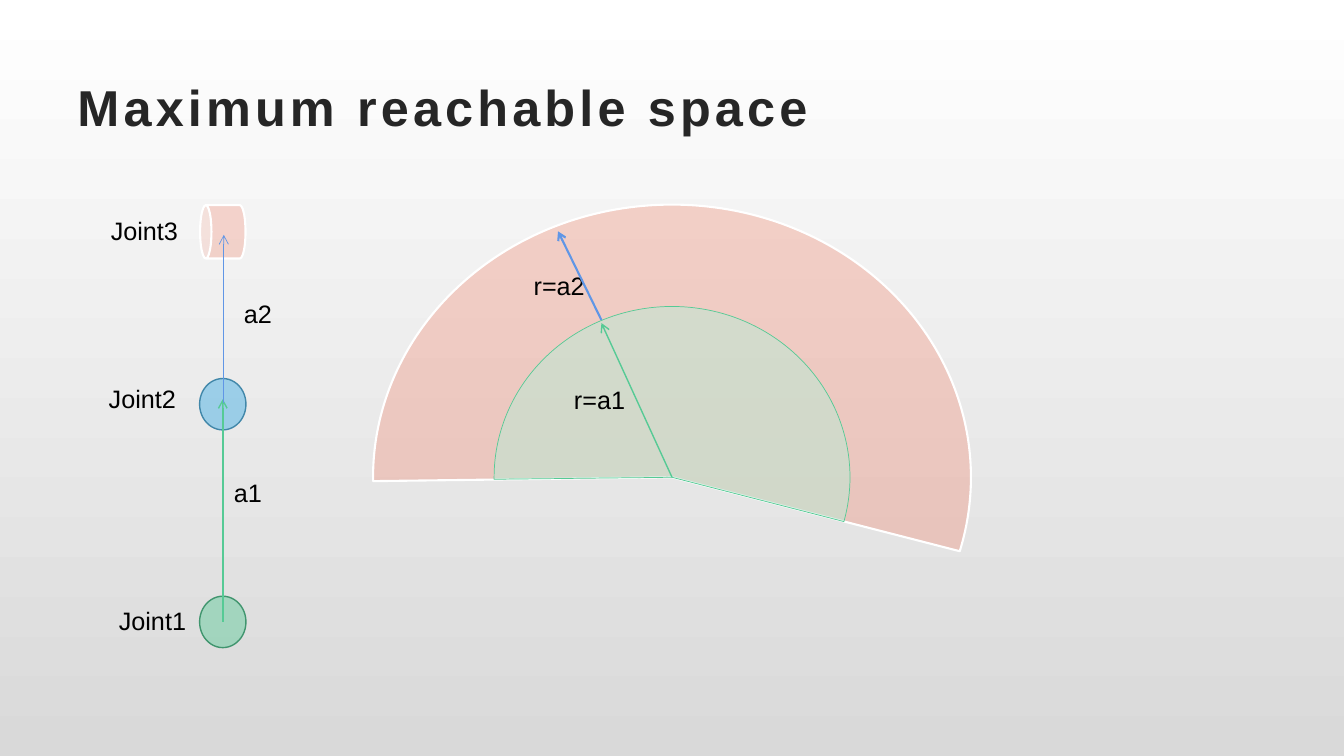
from lxml import etree
from pptx import Presentation
from pptx.dml.color import RGBColor
from pptx.enum import shapes, text
from pptx.oxml.ns import qn
from pptx.util import Inches, Pt

WHITE = RGBColor(0xFF, 0xFF, 0xFF)
GREY = RGBColor(0xD9, 0xD9, 0xD9)
BLACK = RGBColor(0, 0, 0)
TITLE = RGBColor(0x26, 0x26, 0x26)
CORAL = RGBColor(0xF1, 0x88, 0x70)
MINT = RGBColor(0xBB, 0xEA, 0xD5)
GREEN = RGBColor(0x56, 0xCA, 0x95)
DARK_GREEN = RGBColor(0x40, 0x95, 0x6E)
SKY = RGBColor(0x58, 0xB6, 0xE5)
DARK_SKY = RGBColor(0x41, 0x87, 0xA9)
BLUE = RGBColor(0x60, 0x96, 0xE6)
SHAPE = shapes.MSO_SHAPE


def add_shape(s, kind, cx, cy, w, h, fill, alpha, line, weight, rotation=0):
    sp = s.shapes.add_shape(kind, Inches(cx - w / 2), Inches(cy - h / 2),
                            Inches(w), Inches(h))
    sp.rotation = rotation
    sp.shadow.inherit = False
    sp.fill.solid()
    sp.fill.fore_color.rgb = fill
    color = sp.fill._xPr.find(qn("a:solidFill"))[0]
    etree.SubElement(color, qn("a:alpha"), val=str(alpha * 1000))
    sp.line.color.rgb = line
    sp.line.width = Pt(weight)
    return sp


def add_arrow(s, x1, y1, x2, y2, color, weight):
    cn = s.shapes.add_connector(shapes.MSO_CONNECTOR.STRAIGHT, Inches(x1),
                                Inches(y1), Inches(x2), Inches(y2))
    cn.line.color.rgb = color
    cn.line.width = Pt(weight)
    etree.SubElement(cn.line._get_or_add_ln(), qn("a:tailEnd"), type="arrow")
    etree.SubElement(cn._element.spPr, qn("a:effectLst"))


def add_text(s, x, y, w, h, words, size=18, color=BLACK, bold=False):
    tb = s.shapes.add_textbox(Inches(x), Inches(y), Inches(w), Inches(h))
    tf = tb.text_frame
    tf.word_wrap = True
    tf.vertical_anchor = text.MSO_ANCHOR.TOP
    p = tf.paragraphs[0]
    p.text = words
    p.font.name = "Arial"
    p.font.size = Pt(size)
    p.font.bold = bold
    p.font.color.rgb = color
    return tf


def add_background(s):
    fill = s.background.fill
    fill.gradient()
    fill.gradient_angle = 270
    for stop, color in zip(fill.gradient_stops, (WHITE, GREY)):
        stop.color.rgb = color


def add_title(s, x, y, w, h):
    tf = add_text(s, x, y, w, h, "Maximum reachable space", 36, TITLE, True)
    tf.vertical_anchor = text.MSO_ANCHOR.MIDDLE
    tf.paragraphs[0].runs[0].font._element.set("spc", "300")


def add_reach(s, x, y, w, h):
    cx, cy = x + w / 2, y + h / 2
    sectors = [
        (h, w, CORAL, 34, WHITE, 1.5, (53.552, 170.655)),
        (3.39, 3.53, MINT, 52, GREEN, 0.5, (53.617, 170.669)),
    ]
    for width, height, fill, alpha, line, weight, angles in sectors:
        sp = add_shape(s, SHAPE.PIE, cx, cy, width, height, fill, alpha,
                       line, weight, 90)
        sp.adjustments[0], sp.adjustments[1] = angles
    add_arrow(s, cx, cy, cx - 0.7, cy - 1.53, GREEN, 1)
    add_text(s, cx - 1.07, cy - 0.97, 1.46, 0.4, "r=a1")
    add_text(s, cx - 1.47, cy - 2.1, 1.46, 0.4, "r=a2")
    add_arrow(s, cx - 0.7, cy - 1.56, cx - 1.13, cy - 2.44, BLUE, 1.5)


def add_arm(s, x, y, w, h):
    axis = x + 1.23
    base, elbow, tip = y + h - 0.25, y + 1.94, y + 0.23
    add_shape(s, SHAPE.OVAL, axis, base, 0.46, 0.51, GREEN, 44, DARK_GREEN, 1)
    add_shape(s, SHAPE.OVAL, axis, elbow, 0.46, 0.51, SKY, 54, DARK_SKY, 1)
    add_shape(s, SHAPE.CAN, axis, tip, 0.53, 0.45, CORAL, 31, WHITE, 1.5, 270)
    add_arrow(s, axis, base, axis, elbow - 0.05, GREEN, 1)
    add_arrow(s, axis + 0.01, elbow - 0.01, axis + 0.01, tip + 0.03, BLUE, 0.5)
    labels = [
        ("a1", 1.24, 2.62, 0.59), ("a2", 1.34, 0.84, 0.59),
        ("Joint1", 0.1, 3.89, 0.91), ("Joint2", 0, 1.68, 0.91),
        ("Joint3", 0.02, 0.02, 0.91),
    ]
    for words, dx, dy, width in labels:
        add_text(s, x + dx, y + dy, width, 0.4, words)


def main():
    prs = Presentation()
    prs.slide_width, prs.slide_height = Inches(13.33), Inches(7.5)
    s = prs.slides.add_slide(prs.slide_layouts[6])
    add_background(s)
    add_title(s, 0.67, 0.67, 12, 0.77)
    add_reach(s, 3.7, 2.03, 5.93, 5.41)
    add_arm(s, 0.98, 2.07, 1.92, 4.35)
    prs.save("out.pptx")


if __name__ == "__main__":
    main()
